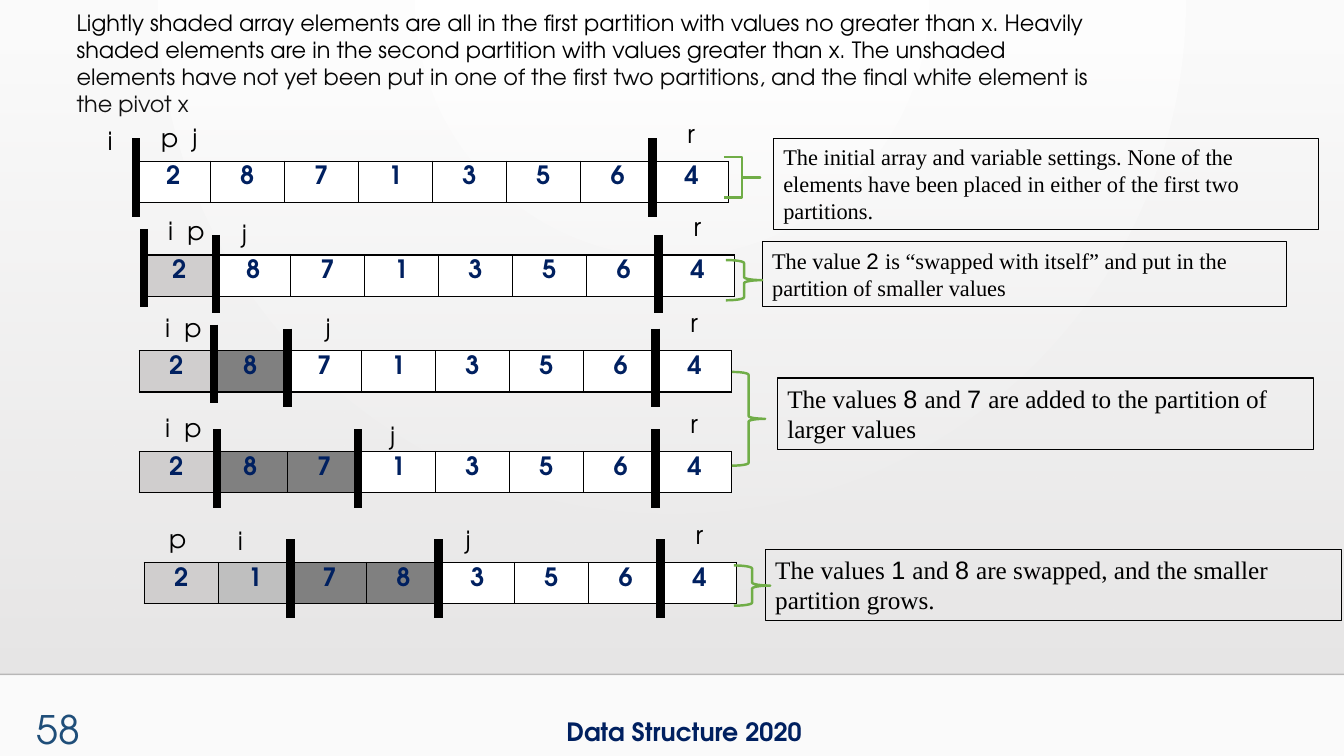
from lxml import etree
from pptx import Presentation
from pptx import util as u
from pptx.dml.color import RGBColor
from pptx.enum import shapes, text
from pptx.oxml import parse_xml
from pptx.oxml.ns import nsdecls, qn

BLACK = RGBColor(0x00, 0x00, 0x00)
WHITE = RGBColor(0xFF, 0xFF, 0xFF)
PAPER = RGBColor(0xFA, 0xFA, 0xFA)
PANEL_TOP = RGBColor(0xE7, 0xE6, 0xE6)
PANEL_BOTTOM = RGBColor(0xE8, 0xE7, 0xE7)
NAVY = RGBColor(0x00, 0x20, 0x60)
BLUE = RGBColor(0x1F, 0x4E, 0x79)
GREEN = RGBColor(0x70, 0xAD, 0x47)
LIGHT = RGBColor(0xD0, 0xCE, 0xCE)
MIDDLE = RGBColor(0xBF, 0xBF, 0xBF)
HEAVY = RGBColor(0x80, 0x80, 0x80)

HEADING_FONT = "TeX Gyre Adventor"
NOTE_FONT = "Times New Roman"
DIGIT_FONT = "Arial"

CELL_WIDTH, CELL_HEIGHT, BAR_HEIGHT = 0.735, 0.41, 0.78
PIVOT_LABEL, PIVOT_BAR = (5.37, -0.48), 5.12

INTRO = ("Lightly shaded array elements are all in the first partition with values no "
         "greater than x. Heavily shaded elements are in the second partition with values "
         "greater than x. The unshaded elements have not yet been put in one of the first "
         "two partitions, and the final white element is the pivot x")

# Each step: left, top, values, shades, labels (text, dx, dy), bars (dx, dy), pivot bar dy
STEPS = [
    (1.35, 1.6, "28713564", [], [("p\tj", 0.15, -0.44), ("i", -0.38, -0.41)],
     [(0, -0.23)], -0.23),
    (1.41, 2.53, "28713564", [LIGHT], [("i\tp", 0.16, -0.44), ("j", 0.89, -0.41)],
     [(0.02, -0.26), (0.73, -0.2)], -0.2),
    (1.38, 3.48, "28713564", [LIGHT, HEAVY], [("i\tp", 0.16, -0.43), ("j", 1.75, -0.43)],
     [(0.74, -0.26), (1.47, -0.22)], -0.22),
    (1.38, 4.48, "28713564", [LIGHT, HEAVY, HEAVY],
     [("i\tp", 0.16, -0.44), ("j", 2.39, -0.36)],
     [(0.77, -0.22), (2.17, -0.22)], -0.22),
    (1.43, 5.58, "21783564", [LIGHT, MIDDLE, HEAVY, HEAVY],
     [("p", 0.15, -0.44), ("i", 0.83, -0.42), ("j", 3.09, -0.43)],
     [(1.45, -0.23), (2.92, -0.23)], -0.23),
]

# Each note: box, size, pieces (every second piece is a digit)
NOTES = [
    ((7.67, 1.37, 5.41, 0.91), 16,
     ["The initial array and variable settings. None of the elements have been placed "
      "in either of the first two partitions."]),
    ((7.56, 2.4, 5.2, 0.64), 16,
     ["The value ", "2 ", "is “swapped with itself” and put in the partition of smaller values"]),
    ((7.71, 3.75, 5.32, 0.71), 18,
     ["The values ", "8 ", "and ", "7 ", "are added to the partition of larger values"]),
    ((7.59, 5.45, 5.72, 0.71), 18,
     ["The values ", "1 ", "and ", "8 ", "are swapped, and the smaller partition grows."]),
]

BRACES = [(7.26, 3.69, 0.33, 0.93), (7.28, 5.61, 0.36, 0.4),
          (7.2, 2.58, 0.36, 0.4), (7.18, 1.56, 0.36, 0.4)]


def inches(box):
    """Convert a tuple of numbers to lengths."""
    return [u.Inches(value) for value in box]


def set_font(font, name, size, color, bold=False):
    """Set the look of a font."""
    font.name, font.size, font.bold = name, u.Pt(size), bold
    font.color.rgb = color


def add_line(slide, start, end, color, width):
    """Draw a straight line without a shadow."""
    line = slide.shapes.add_connector(shapes.MSO_CONNECTOR.STRAIGHT, *inches(start + end))
    line.line.color.rgb, line.line.width = color, u.Pt(width)
    etree.SubElement(line._element.spPr, qn("a:effectLst"))
    return line


def add_label(slide, box, words, size=18, color=BLACK, bold=False, wrap=True):
    """Place a text box, with a tab stop where the words hold a tab."""
    frame = slide.shapes.add_textbox(*inches(box)).text_frame
    frame.word_wrap = wrap
    frame.text = words
    paragraph = frame.paragraphs[0]
    if "\t" in words:
        stop = u.Inches(0.31 if words.startswith("p") else 0.19)
        paragraph._p.get_or_add_pPr().append(parse_xml(
            f'<a:tabLst {nsdecls("a")}><a:tab pos="{stop}" algn="l"/></a:tabLst>'))
    set_font(paragraph.font, HEADING_FONT, size, color, bold)
    return paragraph


def add_backdrop(slide, box):
    """Fill the background and lay the fading panel with its lower edge."""
    fill = slide.background.fill
    fill.gradient()
    for stop, color in zip(fill.gradient_stops, (WHITE, PAPER)):
        stop.color.rgb = color
    linear = slide._element.find(".//" + qn("a:lin"))
    linear.getparent().replace(linear, parse_xml(
        f'<a:path {nsdecls("a")} path="circle">'
        '<a:fillToRect l="43000" t="0" r="43000" b="100000"/></a:path>'))

    panel = slide.shapes.add_shape(shapes.MSO_SHAPE.RECTANGLE, *inches(box))
    panel.shadow.inherit = False
    panel.line.fill.background()
    panel.fill.gradient()
    panel.fill.gradient_angle = 270
    for stop, color in zip(panel.fill.gradient_stops, (PANEL_TOP, PANEL_BOTTOM)):
        stop.color.rgb = color
    clear = panel._element.spPr.find(".//" + qn("a:srgbClr"))
    etree.SubElement(clear, qn("a:alpha"), val="0")

    left, top, width, height = box
    edge = add_line(slide, (left, top + height), (left + width, top + height), BLACK, 1)
    color = edge._element.spPr.find(".//" + qn("a:srgbClr"))
    etree.SubElement(color, qn("a:alpha"), val="20000")


def add_intro(slide, box):
    """Put the explanation into the title placeholder."""
    title = slide.shapes.title
    title.left, title.top, title.width, title.height = inches(box)
    frame = title.text_frame
    frame.text = INTRO
    frame.word_wrap = True
    frame.auto_size = text.MSO_AUTO_SIZE.NONE
    frame.vertical_anchor = text.MSO_ANCHOR.TOP
    paragraph = frame.paragraphs[0]
    paragraph.alignment = text.PP_ALIGN.LEFT
    set_font(paragraph.font, HEADING_FONT, 16, BLACK)


def add_array(slide, box, values, shades):
    """Draw the array as a one-row table."""
    table = slide.shapes.add_table(1, len(values), *inches(box)).table
    table.first_row = table.horz_banding = False
    colors = shades + [WHITE] * (len(values) - len(shades))
    for cell, value, color in zip(table.iter_cells(), values, colors):
        properties = cell._tc.get_or_add_tcPr()
        for side in "LRTB":
            properties.append(parse_xml(
                f'<a:ln{side} {nsdecls("a")} w="12700"><a:solidFill>'
                f'<a:srgbClr val="{BLACK}"/></a:solidFill></a:ln{side}>'))
        cell.fill.solid()
        cell.fill.fore_color.rgb = color
        cell.text = value
        paragraph = cell.text_frame.paragraphs[0]
        paragraph.alignment = text.PP_ALIGN.CENTER
        set_font(paragraph.font, HEADING_FONT, 18, NAVY, True)


def add_step(slide, left, top, values, shades, labels, bars, pivot_dy):
    """Draw one partition step: array, index labels and dividing bars."""
    add_array(slide, (left, top, CELL_WIDTH * len(values), CELL_HEIGHT), values, shades)
    for words, dx, dy in labels + [("r", *PIVOT_LABEL)]:
        width = 0.74 if "\t" in words else 0.38
        add_label(slide, (left + dx, top + dy, width, 0.4), words)
    for dx, dy in bars + [(PIVOT_BAR, pivot_dy)]:
        x, y = left + dx, top + dy
        add_line(slide, (x, y), (x, y + BAR_HEIGHT), BLACK, 6)


def add_note(slide, box, size, pieces):
    """Draw a framed note with its digits in a second font."""
    note = slide.shapes.add_shape(shapes.MSO_SHAPE.RECTANGLE, *inches(box))
    note.shadow.inherit = False
    note.fill.background()
    note.line.color.rgb, note.line.width = BLACK, u.Pt(0.75)
    note.text_frame.word_wrap = True
    note.text_frame.vertical_anchor = text.MSO_ANCHOR.TOP
    paragraph = note.text_frame.paragraphs[0]
    paragraph.alignment = text.PP_ALIGN.LEFT
    for index, piece in enumerate(pieces):
        run = paragraph.add_run()
        run.text = piece
        set_font(run.font, DIGIT_FONT if index % 2 else NOTE_FONT, size, BLACK)


def add_brace(slide, box):
    """Draw a green brace; the topmost one has square corners."""
    brace = slide.shapes.add_shape(shapes.MSO_SHAPE.RIGHT_BRACE, *inches(box))
    brace.shadow.inherit = False
    brace.fill.background()
    brace.line.color.rgb, brace.line.width = GREEN, u.Pt(1.75)
    if box == BRACES[-1]:
        brace.adjustments[0] = 0


def main():
    """Build and save the slide."""
    presentation = Presentation()
    presentation.slide_width, presentation.slide_height = inches((13.33, 7.5))
    slide = presentation.slides.add_slide(presentation.slide_layouts[5])
    add_backdrop(slide, (0, 0.51, 13.33, 6.18))
    add_label(slide, (5.52, 7.06, 2.61, 0.4), "Data Structure 2020", 18, NAVY, True, False)
    for step in STEPS:
        add_step(slide, *step)
    add_intro(slide, (0.66, 0.04, 10.36, 1.18))
    for note in NOTES:
        add_note(slide, *note)
    for box in BRACES:
        add_brace(slide, box)
    number = add_label(slide, (0, 6.95, 0.89, 0.55), "58", 28, BLUE)
    number.alignment = text.PP_ALIGN.RIGHT
    presentation.save("out.pptx")


if __name__ == "__main__":
    main()
